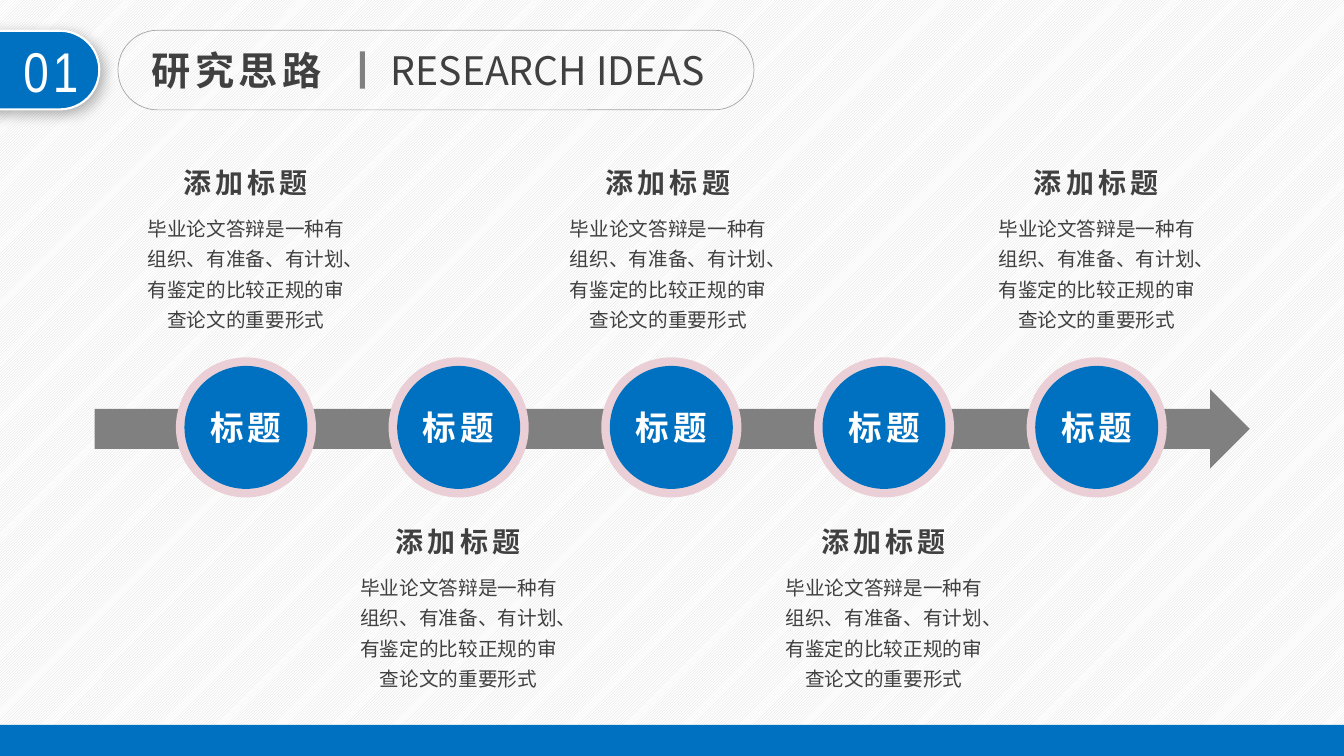
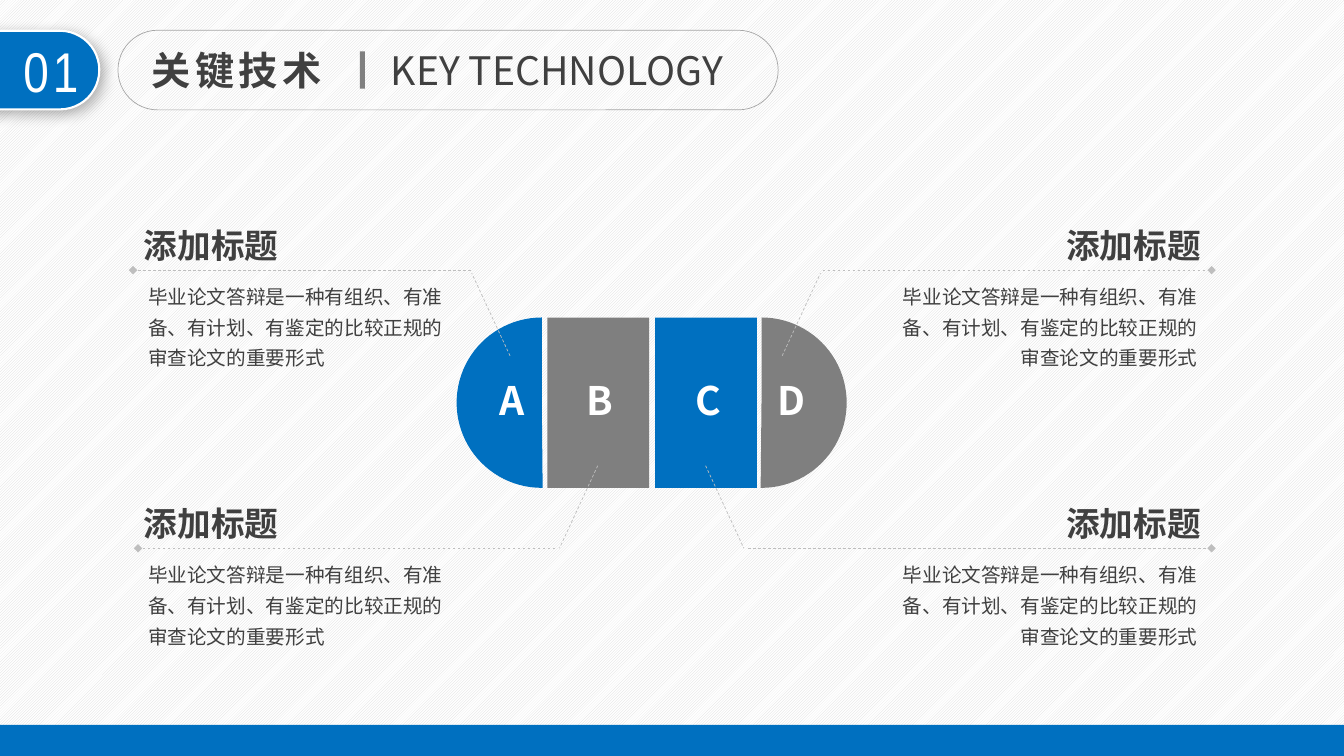
from dataclasses import dataclass
from typing import Optional

from lxml.etree import SubElement
from pptx import Presentation
from pptx.dml.color import RGBColor
from pptx.enum.dml import MSO_LINE, MSO_PATTERN
from pptx.enum.lang import MSO_LANGUAGE_ID
from pptx.enum.shapes import MSO_CONNECTOR, MSO_SHAPE
from pptx.enum.text import MSO_ANCHOR, MSO_AUTO_SIZE, PP_ALIGN
from pptx.oxml.ns import qn
from pptx.util import Inches, Pt

# Shared size, colours, fonts and wording
SLIDE_H = 7.5
SLIDE_W = SLIDE_H * 16 / 9
BLUE = RGBColor(0x00, 0x70, 0xC0)
GRAY = RGBColor(0x80, 0x80, 0x80)
SEGMENT_GRAY = RGBColor(0x7F, 0x7F, 0x7F)
PINK = RGBColor(0xEA, 0xD0, 0xD6)
INK = RGBColor(0x40, 0x40, 0x40)
PILL_LINE = RGBColor(0xA6, 0xA6, 0xA6)
RULE = RGBColor(0xBE, 0xBE, 0xBE)
HATCH = RGBColor(0xD9, 0xD9, 0xD9)
WHITE = RGBColor(0xFF, 0xFF, 0xFF)
CJK = "Noto Sans CJK SC"
HEADING = "添加标题"
BODY = "毕业论文答辩是一种有组织、有准备、有计划、有鉴定的比较正规的审查论文的重要形式"


@dataclass(frozen=True)
class Style:
    size: int
    color: RGBColor = INK
    name: str = CJK
    bold: bool = False
    spacing: int = 0
    line_spacing: Optional[float] = None


NUMBER = Style(40, WHITE, "Arial Narrow", spacing=3)
TITLE = Style(28, bold=True, spacing=3)
SUBTITLE = Style(28)
BODY_STYLE = Style(14, name="Arial", line_spacing=1.3)
STEP_HEADING = Style(20, bold=True, spacing=3)
STEP_LABEL = Style(24, WHITE, bold=True, spacing=3)
CALLOUT_HEADING = Style(24, bold=True)
LETTER = Style(28, WHITE, bold=True)


@dataclass(frozen=True)
class Box:
    x: float
    y: float
    w: float
    h: float

    def lengths(self) -> tuple:
        return tuple(Inches(v) for v in (self.x, self.y, self.w, self.h))


@dataclass(frozen=True)
class Segment:
    letter: str
    x: float
    fill: RGBColor
    insets: tuple
    pie: bool = False
    flip: bool = False


@dataclass(frozen=True)
class Callout:
    tip_x: float
    rule_from: float
    rule_to: float
    upper: bool
    right: bool


# Drawing helpers
def write(tf, text: str, style: Style, align=PP_ALIGN.LEFT, **frame) -> None:
    for key, value in frame.items():
        setattr(tf, key, value)
    p = tf.paragraphs[0]
    p.alignment = align
    if style.line_spacing:
        p.line_spacing = style.line_spacing
    r = p.add_run()
    r.text = text
    r.font.color.rgb = style.color
    font_format = {"size": Pt(style.size), "name": style.name, "bold": style.bold,
                   "language_id": MSO_LANGUAGE_ID.SIMPLIFIED_CHINESE}
    for key, value in font_format.items():
        setattr(r.font, key, value)
    rPr = r.font._element
    if style.spacing:
        rPr.set("spc", str(style.spacing * 100))
    SubElement(rPr, qn("a:ea")).set("typeface", CJK)


def add_text(s, box: Box, text: str, style: Style, align=PP_ALIGN.LEFT,
             wrap=True, grow=True, anchor=MSO_ANCHOR.TOP) -> None:
    tf = s.shapes.add_textbox(*box.lengths()).text_frame
    write(tf, text, style, align, word_wrap=wrap, vertical_anchor=anchor,
          auto_size=MSO_AUTO_SIZE.SHAPE_TO_FIT_TEXT if grow else MSO_AUTO_SIZE.NONE)


def add_shape(s, kind, box: Box, fill: Optional[RGBColor] = None,
              line: Optional[RGBColor] = None, width: float = 0):
    sp = s.shapes.add_shape(kind, *box.lengths())
    sp.shadow.inherit = False
    if fill is None:
        sp.fill.background()
    else:
        sp.fill.solid()
        sp.fill.fore_color.rgb = fill
    if line is None:
        sp.line.fill.background()
    else:
        sp.line.color.rgb = line
        sp.line.width = Pt(width)
    return sp


def add_label(sp, text: str, style: Style, insets: tuple = (0, 0, 0, 0)) -> None:
    sides = ("margin_left", "margin_top", "margin_right", "margin_bottom")
    margins = {side: Inches(v) for side, v in zip(sides, insets)}
    write(sp.text_frame, text, style, PP_ALIGN.CENTER, word_wrap=True,
          vertical_anchor=MSO_ANCHOR.MIDDLE, **margins)


def add_dash(s, x1: float, y1: float, x2: float, y2: float, diamond=False) -> None:
    ends = [Inches(v) for v in (x1, y1, x2, y2)]
    line = s.shapes.add_connector(MSO_CONNECTOR.STRAIGHT, *ends)
    line.line.color.rgb = RULE
    line.line.width = Pt(0.5)
    line.line.dash_style = MSO_LINE.DASH
    if diamond:
        SubElement(line.line._get_or_add_ln(), qn("a:tailEnd")).set("type", "diamond")
    SubElement(line._element.spPr, qn("a:effectLst"))


def add_drop_shadow(sp) -> None:
    effects = sp._element.spPr.find(qn("a:effectLst"))
    shadow = SubElement(effects, qn("a:outerShdw"), blurRad=str(Pt(10)),
                        dist=str(Pt(4)), dir="2700000", algn="tl", rotWithShape="0")
    color = SubElement(shadow, qn("a:srgbClr"), val="000000")
    SubElement(color, qn("a:alpha"), val="30000")


# Background, title and footer band shared by the slides
def add_base(prs, title: str, subtitle: str, subtitle_w: float):
    s = prs.slides.add_slide(prs.slide_layouts[6])
    fill = s.background.fill
    fill.patterned()
    fill.pattern = MSO_PATTERN.LIGHT_UPWARD_DIAGONAL
    fill.fore_color.rgb = HATCH
    fill.back_color.rgb = WHITE

    tab = add_shape(s, MSO_SHAPE.ROUNDED_RECTANGLE, Box(-0.46, -0.36, 0.78, 2.11),
                    BLUE, WHITE, 1.5)
    tab.rotation = 90
    add_drop_shadow(tab)
    add_text(s, Box(0.02, 0.31, 0.97, 0.77), "01", NUMBER, PP_ALIGN.CENTER)
    pill = add_shape(s, MSO_SHAPE.ROUNDED_RECTANGLE,
                     Box(1.17, 0.3, subtitle_w + 2.85, 0.79), None, PILL_LINE, 0.5)
    for rounded in (tab, pill):
        rounded.adjustments[0] = 0.5
    add_text(s, Box(1.41, 0.41, 1.96, 0.57), title, TITLE)
    add_shape(s, MSO_SHAPE.RECTANGLE, Box(3.57, 0.51, 0.05, 0.37), GRAY)
    add_text(s, Box(3.78, 0.41, subtitle_w, 0.57), subtitle, SUBTITLE, wrap=False)
    add_shape(s, MSO_SHAPE.RECTANGLE, Box(0, 7.19, SLIDE_W, 0.31), BLUE)
    return s


# Slide 1: timeline
TEXT_CENTERS = (2.44, 4.55, 6.63, 8.77, 10.88)
FIRST_CENTER, LAST_CENTER, CENTER_Y = 2.44, 10.88, 4.24


def add_disc(s, cx: float, diameter: float, fill: RGBColor):
    box = Box(cx - diameter / 2, CENTER_Y - diameter / 2, diameter, diameter)
    return add_shape(s, MSO_SHAPE.OVAL, box, fill)


def add_timeline(prs) -> None:
    s = add_base(prs, "研究思路", "RESEARCH IDEAS", 3.46)
    add_shape(s, MSO_SHAPE.RIGHT_ARROW, Box(0.94, 3.86, 11.46, 0.79), GRAY)
    step = (LAST_CENTER - FIRST_CENTER) / (len(TEXT_CENTERS) - 1)
    for i, text_x in enumerate(TEXT_CENTERS):
        cx = FIRST_CENTER + i * step
        add_disc(s, cx, 1.39, PINK)
        add_label(add_disc(s, cx, 1.22, BLUE), "标题", STEP_LABEL)
        top = 5.15 if i % 2 else 1.59
        add_text(s, Box(text_x - 1.08, top + 0.44, 2.16, 1.33), BODY, BODY_STYLE,
                 PP_ALIGN.CENTER)
        add_text(s, Box(text_x - 0.75, top, 1.49, 0.44), HEADING, STEP_HEADING,
                 PP_ALIGN.CENTER, wrap=False)


# Slide 2: capsule with callouts
SEGMENTS = (
    Segment("A", 4.53, BLUE, (0, 0, 0.59, 0.05), pie=True),
    Segment("B", 5.43, SEGMENT_GRAY, (0.04, 0, 0, 0.05)),
    Segment("C", 6.5, BLUE, (0.04, 0, 0, 0.05)),
    Segment("D", 6.71, SEGMENT_GRAY, (0.59, 0, 0, 0.05), pie=True, flip=True),
)
CALLOUTS = (
    Callout(7.76, 8.16, 12.02, upper=True, right=True),
    Callout(7, 7.42, 12.02, upper=False, right=True),
    Callout(5.06, 4.67, 1.32, upper=True, right=False),
    Callout(5.93, 5.51, 1.37, upper=False, right=False),
)


def add_segment(s, seg: Segment) -> None:
    kind, width = (MSO_SHAPE.PIE, 1.69) if seg.pie else (MSO_SHAPE.RECTANGLE, 1.01)
    sp = add_shape(s, kind, Box(seg.x, 3.15, width, 1.69), seg.fill)
    if seg.pie:
        sp.adjustments[0], sp.adjustments[1] = 53.65, 162
    if seg.flip:
        sp._element.spPr.find(qn("a:xfrm")).set("flipH", "1")
    add_label(sp, seg.letter, LETTER, seg.insets)


def add_callout(s, c: Callout) -> None:
    tip_y, bend_y, rule_y = (3.53, 2.71, 2.68) if c.upper else (4.62, 5.44, 5.44)
    bend_x = c.tip_x + (0.38 if c.right else -0.38)
    heading_x, body_x = (8.73, 8.83) if c.right else (1.33, 1.37)
    align = PP_ALIGN.RIGHT if c.right else PP_ALIGN.LEFT
    add_dash(s, c.tip_x, tip_y, bend_x, bend_y)
    add_dash(s, c.rule_from, rule_y, c.rule_to, rule_y, diamond=True)
    add_text(s, Box(heading_x, rule_y - 0.89, 3.28, 0.89), HEADING, CALLOUT_HEADING,
             align, grow=False, anchor=MSO_ANCHOR.BOTTOM)
    add_text(s, Box(body_x, rule_y + 0.03, 3.15, 1.72), BODY, BODY_STYLE, align,
             grow=False)


def add_capsule(prs) -> None:
    s = add_base(prs, "关键技术", "KEY TECHNOLOGY", 3.7)
    for seg in SEGMENTS:
        add_segment(s, seg)
    for callout in CALLOUTS:
        add_callout(s, callout)


def main() -> None:
    prs = Presentation()
    prs.slide_width, prs.slide_height = Inches(SLIDE_W), Inches(SLIDE_H)
    add_timeline(prs)
    add_capsule(prs)
    prs.save("out.pptx")


if __name__ == "__main__":
    main()
